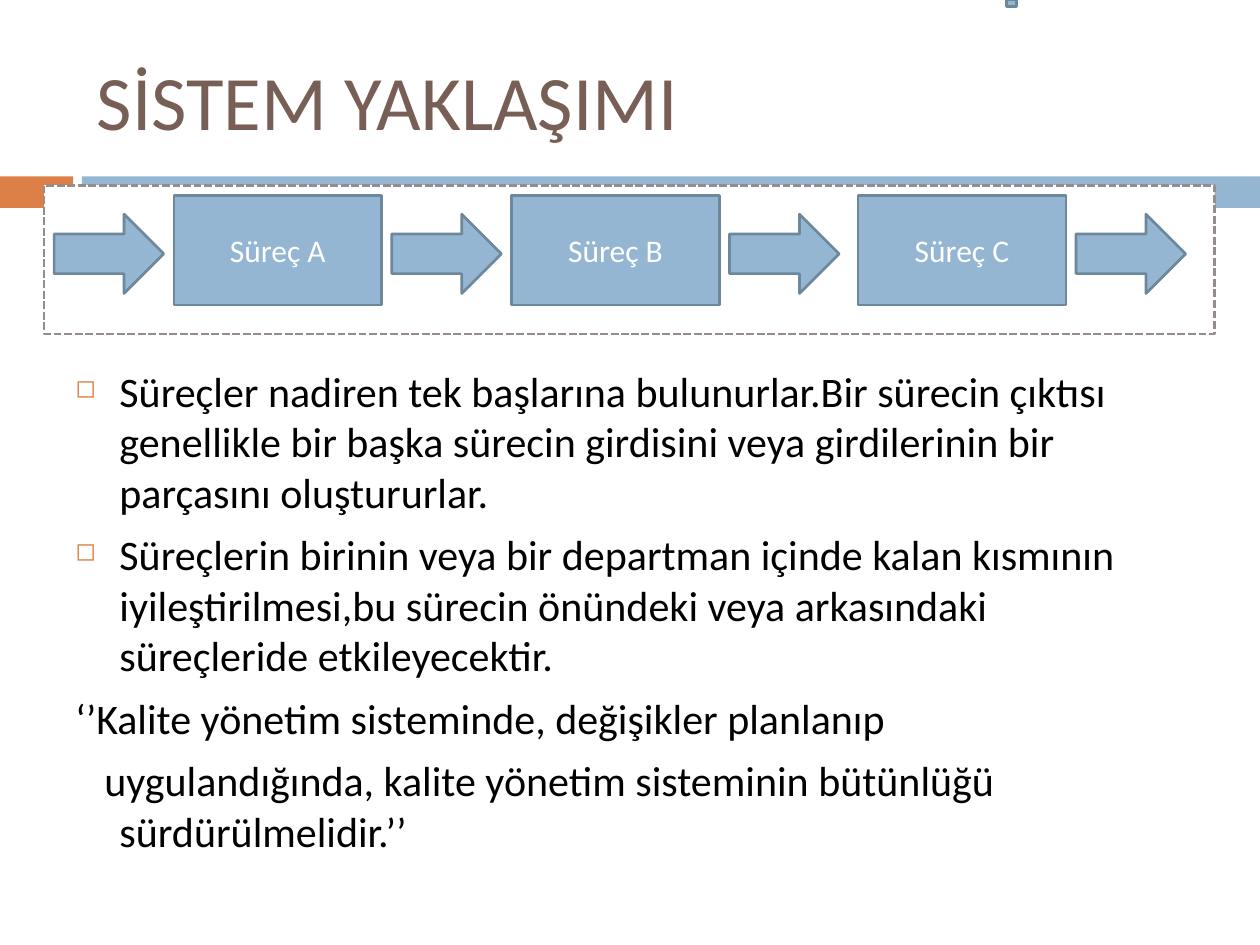
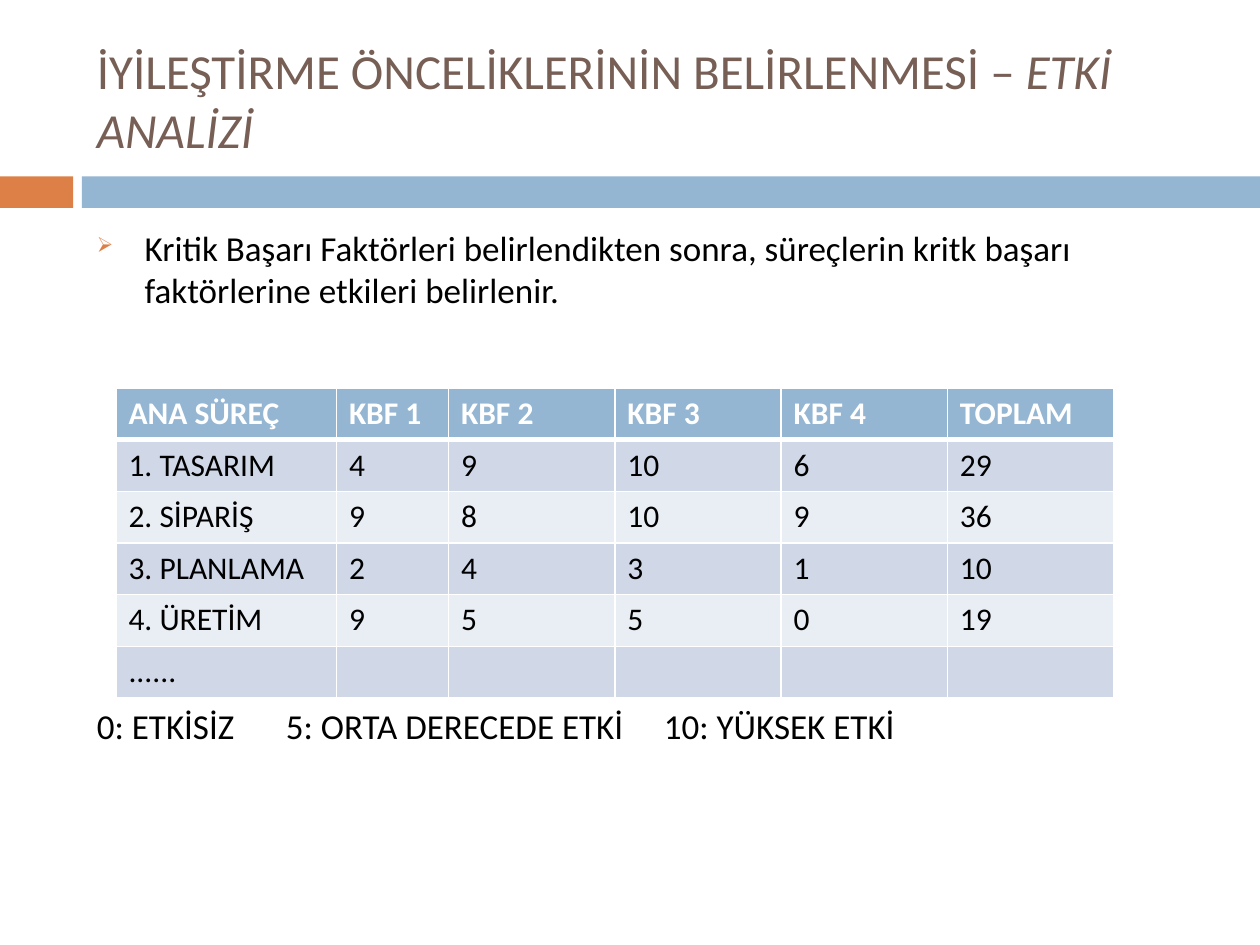
from lxml import etree
from pptx import Presentation
from pptx.dml.color import RGBColor
from pptx.enum import dml, shapes, text
from pptx.oxml import ns
from pptx.util import Inches, Pt

BLUE = RGBColor(0x94, 0xB6, 0xD2)
BLUE_EDGE = RGBColor(0x6D, 0x87, 0x9B)
ORANGE = RGBColor(0xDD, 0x80, 0x47)
BROWN = RGBColor(0x77, 0x5F, 0x55)
GREY = RGBColor(0x96, 0x8C, 0x8C)
ROW_DARK = RGBColor(0xD0, 0xD8, 0xE8)
ROW_LIGHT = RGBColor(0xE9, 0xED, 0xF4)
WHITE = RGBColor(0xFF, 0xFF, 0xFF)
BLACK = RGBColor(0, 0, 0)
FONT = "Calibri"
RECT = shapes.MSO_SHAPE.RECTANGLE
ARROW = shapes.MSO_SHAPE.RIGHT_ARROW


def add_xml(parent, tag, **attributes):
    return etree.SubElement(parent, ns.qn(tag), attributes)


class Slides:
    def __init__(self):
        self.deck = Presentation()
        self.deck.slide_width, self.deck.slide_height = Inches(10), Inches(7.5)
        self.page = None

    def new_page(self, title, size, italic_part=""):
        self.page = self.deck.slides.add_slide(self.deck.slide_layouts[6])
        self.shape(RECT, 0, 1.4, 0.58, 0.25, ORANGE)
        self.shape(RECT, 0.65, 1.4, 9.35, 0.25, BLUE)
        frame = self.text_frame(0.67, 0.25, 8.92, 1.08)
        frame.vertical_anchor = text.MSO_ANCHOR.MIDDLE
        paragraph = frame.paragraphs[0]
        paragraph.text = title
        if italic_part:
            paragraph.add_run().text = italic_part
            paragraph.runs[-1].font.italic = True
        self.style(paragraph, size, BROWN)

    def style(self, paragraph, size, color, bold=None):
        for span in paragraph.runs:
            span.font.name = FONT
            span.font.size = Pt(size)
            span.font.color.rgb = color
            span.font.bold = bold

    def shape(self, kind, left, top, width, height, fill, edge=None, label="", dash=None):
        box = self.page.shapes.add_shape(
            kind, Inches(left), Inches(top), Inches(width), Inches(height))
        box.shadow.inherit = False
        box.fill.solid()
        box.fill.fore_color.rgb = fill
        if edge is None:
            box.line.fill.background()
        else:
            box.line.color.rgb = edge
            box.line.width = Pt(1.5)
            if dash:
                box.line.dash_style = dash
        if label:
            box.text_frame.text = label
            box.text_frame.vertical_anchor = text.MSO_ANCHOR.MIDDLE
            paragraph = box.text_frame.paragraphs[0]
            paragraph.alignment = text.PP_ALIGN.CENTER
            self.style(paragraph, 18, WHITE)

    def text_frame(self, left, top, width, height):
        box = self.page.shapes.add_textbox(
            Inches(left), Inches(top), Inches(width), Inches(height))
        box.text_frame.word_wrap = True
        return box.text_frame

    def body(self, left, top, width, height, size, items, margin=0.35, tabs=()):
        frame = self.text_frame(left, top, width, height)
        for index, (content, bullet, first_indent) in enumerate(items):
            paragraph = frame.paragraphs[0] if index == 0 else frame.add_paragraph()
            paragraph.text = content
            properties = paragraph._p.get_or_add_pPr()
            properties.set("marL", str(Inches(margin)))
            properties.set("indent", str(Inches(first_indent)))
            if bullet:
                color = add_xml(properties, "a:buClr")
                add_xml(color, "a:srgbClr", val=str(ORANGE))
                add_xml(properties, "a:buSzPct", val="60000")
                add_xml(properties, "a:buChar", char=bullet)
            else:
                add_xml(properties, "a:buNone")
            if tabs:
                stops = add_xml(properties, "a:tabLst")
                for stop in tabs:
                    add_xml(stops, "a:tab", pos=str(Inches(stop)), algn="l")
            if index:
                paragraph.space_before = Pt(7)
            self.style(paragraph, size, BLACK)

    def borders(self, cell, row):
        properties = cell._tc.get_or_add_tcPr()
        widths = {"L": 1, "R": 1, "T": 3 if row == 1 else 1, "B": 3 if row == 0 else 1}
        for side, width in widths.items():
            line = add_xml(properties, f"a:ln{side}", w=str(Pt(width)))
            fill = add_xml(line, "a:solidFill")
            add_xml(fill, "a:srgbClr", val=str(WHITE))

    def table(self, left, top, column_widths, row_height, rows):
        table = self.page.shapes.add_table(
            len(rows), len(column_widths), Inches(left), Inches(top),
            Inches(sum(column_widths)), Inches(row_height * len(rows))).table
        for column, width in zip(table.columns, column_widths):
            column.width = Inches(width)
        for row, values in enumerate(rows):
            table.rows[row].height = Inches(row_height)
            header = row == 0
            fill = BLUE if header else ROW_DARK if row % 2 else ROW_LIGHT
            for column, value in enumerate(values):
                cell = table.cell(row, column)
                self.borders(cell, row)
                cell.fill.solid()
                cell.fill.fore_color.rgb = fill
                if value:
                    cell.text = value
                    self.style(cell.text_frame.paragraphs[0], 18,
                               WHITE if header else BLACK, header)


def system_approach(slides):
    slides.new_page("SİSTEM YAKLAŞIMI", 44)
    slides.body(0.5, 2.85, 9, 4.13, 24, [
        ("Süreçler nadiren tek başlarına bulunurlar.Bir sürecin çıktısı genellikle "
         "bir başka sürecin girdisini veya girdilerinin bir parçasını oluştururlar.",
         "◻", -0.35),
        ("Süreçlerin birinin veya bir departman içinde kalan kısmının "
         "iyileştirilmesi,bu sürecin önündeki veya arkasındaki süreçleride "
         "etkileyecektir.", "◻", -0.35),
        ("‘’Kalite yönetim sisteminde, değişikler planlanıp", None, -0.35),
        ("uygulandığında, kalite yönetim sisteminin bütünlüğü sürdürülmelidir.’’",
         None, -0.12),
    ])
    slides.shape(RECT, 7.99, 0, 0.08, 0.05, BLUE, BLUE_EDGE)
    slides.shape(RECT, 0.35, 1.47, 9.29, 1.18, WHITE, GREY,
                 dash=dml.MSO_LINE.SQUARE_DOT)
    process_width, gap = 1.65, 0.08
    arrow_lefts = [0.43]
    for name, left in (("A", 1.38), ("B", 4.06), ("C", 6.81)):
        slides.shape(RECT, left, 1.55, process_width, 0.87, BLUE, BLUE_EDGE, f"Süreç {name}")
        arrow_lefts.append(left + process_width + gap)
    for left in arrow_lefts:
        slides.shape(ARROW, left, 1.7, 0.87, 0.63, BLUE, BLUE_EDGE)


def impact_analysis(slides):
    slides.new_page("İYİLEŞTİRME ÖNCELİKLERİNİN BELİRLENMESİ – ", 28, "ETKİ ANALİZİ")
    slides.body(0.67, 1.75, 8.92, 0.9, 20, [
        ("Kritik Başarı Faktörleri belirlendikten sonra, süreçlerin kritk başarı "
         "faktörlerine etkileri belirlenir.", "➢", -0.38),
    ], margin=0.38)
    slides.table(0.92, 3.08, [1.75, 0.89] + [1.32] * 4, 0.41, [
        ["ANA SÜREÇ", "KBF 1", "KBF 2", "KBF 3", "KBF 4", "TOPLAM"],
        ["1. TASARIM", "4", "9", "10", "6", "29"],
        ["2. SİPARİŞ", "9", "8", "10", "9", "36"],
        ["3. PLANLAMA", "2", "4", "3", "1", "10"],
        ["4. ÜRETİM", "9", "5", "5", "0", "19"],
        ["......"] + [""] * 5,
    ])
    slides.body(0.67, 5.54, 8.92, 0.45, 20, [
        ("0: ETKİSİZ\t5: ORTA DERECEDE ETKİ\t10: YÜKSEK ETKİ", None, 0),
    ], margin=0, tabs=(1.66, 5.03))


def main():
    slides = Slides()
    system_approach(slides)
    impact_analysis(slides)
    slides.deck.save("out.pptx")


if __name__ == "__main__":
    main()
